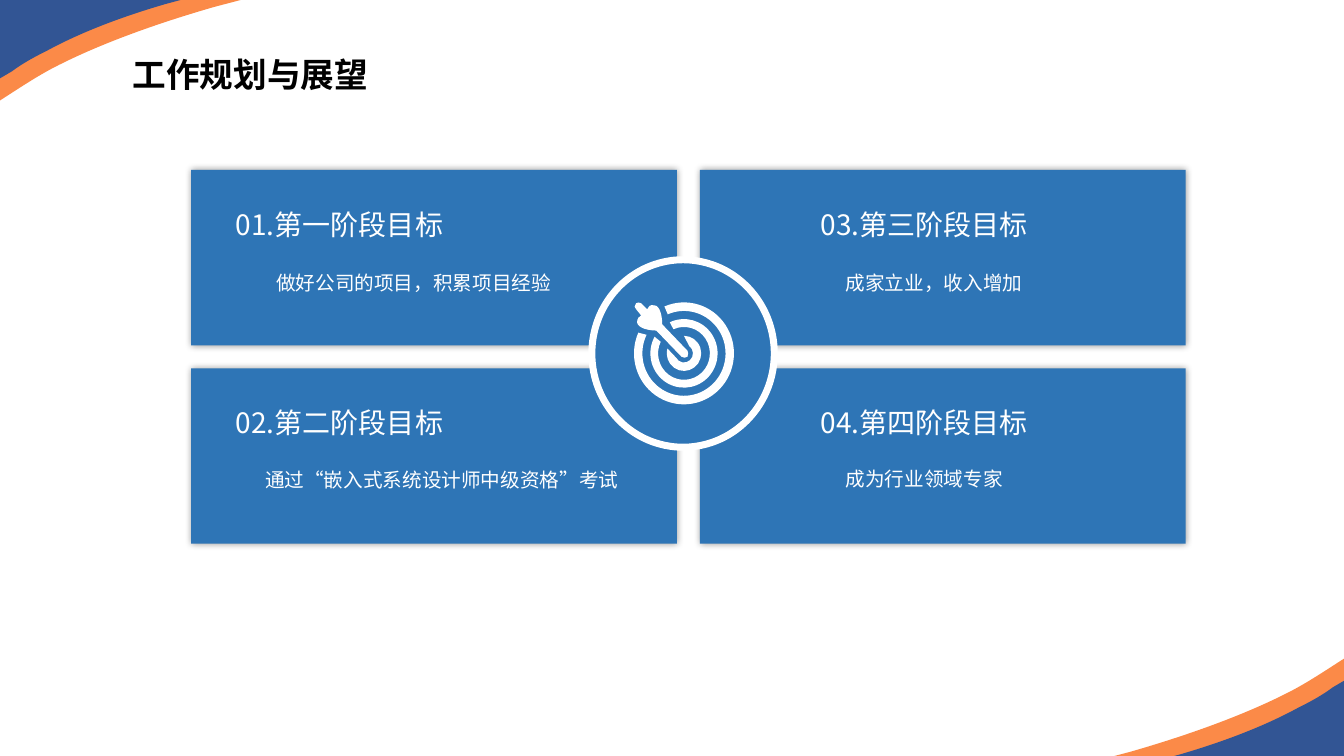
from math import cos, radians, sin, tan

from lxml.etree import SubElement
from pptx import Presentation
from pptx.dml.color import RGBColor
from pptx.enum.shapes import MSO_SHAPE
from pptx.enum.text import MSO_ANCHOR, PP_ALIGN
from pptx.oxml.ns import qn
from pptx.util import Pt

SLIDE_WIDTH, SLIDE_HEIGHT = 960, 540
FONT = "Noto Sans CJK SC"
BLUE, NAVY, ORANGE, WHITE, BLACK = "2E75B6", "325594", "FB8A48", "FFFFFF", "000000"

TITLE = "工作规划与展望"
GOALS = [
    ("01.第一阶段目标", "做好公司的项目，积累项目经验", 0, 0, (53.6, 63.7, 221)),
    ("02.第二阶段目标", "通过“嵌入式系统设计师中级资格”考试", 0, 1, (45.6, 62.3, 281)),
    ("03.第三阶段目标", "成家立业，收入增加", 1, 0, (97, 63.7, 190)),
    ("04.第四阶段目标", "成为行业领域专家", 1, 1, (97, 61.8, 161)),
]
CARD_LEFT, CARD_TOP, CARD_WIDTH, CARD_HEIGHT, CARD_GAP = 136.6, 121.4, 347, 125.3, 16.4
HEADING_INDENTS, HEADING_DROP = (24.8, 79), 23.2

HEADING_FORMAT = {"size": Pt(20), "name": FONT, "bold": False}
DETAIL_FORMAT = {"size": Pt(14), "name": FONT, "bold": False}
TITLE_FORMAT = {"size": Pt(24), "name": FONT, "bold": True}
FRAME_FORMAT = {"word_wrap": True, "vertical_anchor": MSO_ANCHOR.TOP}

SWOOSHES = [
    (ORANGE, [(172, 0), (153, 5), (113, 16.5, 72, 31, 39, 48),
              (26.5, 54.5, 14.5, 62.5, 0.5, 71.5), (0, 72), (0, 8.5), (16.5, 0)]),
    (NAVY, [(129, 0), (118, 3), (87, 12, 58, 23, 34, 36),
            (25, 40.5, 16.5, 45, 8.5, 51), (0, 56), (0, 0)]),
]
FAR_CORNER = (960.5, 542)

HUB_CENTRE, HUB_WIDTH, HUB_HEIGHT = (487.9, 252.5), 130.3, 133.9
TARGET_CENTRE, TARGET_STRETCH = (488.6, 252.4), 1.02
RINGS = [
    ((35.7, -113, 204), (29.7, -113, 206)),
    ((24, -115, 209), (18.5, -114, 206)),
    ((12.3, -90, 196), (6.4, -55, 152)),
]
DART = [
    (2.5, 2.4), (1.8, 3.1, 1.1, 3.1, 0.4, 3.1), (-0.4, 3.1, -1.1, 3.1, -1.8, 2.4),
    (-19.8, -16.3), (-24.8, -16.3, -32.8, -17.8, -33.5, -22.1),
    (-33.5, -25, -32, -26.4, -30.6, -27.1), (-34.2, -31.5),
    (-35.6, -32.2, -35.6, -34.3, -34.2, -35.8),
    (-33.5, -36.5, -31.3, -36.5, -30.6, -35.8), (-26.3, -31.5),
    (-25.6, -33.6, -24.1, -35, -21.2, -34.3),
    (-16.9, -34.3, -15.5, -25.7, -15.5, -20.7), (2.5, -1.9),
    (3.2, -1.2, 3.2, 0.9, 2.5, 2.4),
]


def colour(hex_code):
    return RGBColor.from_string(hex_code)


def apply(owner, formats):
    for attribute, setting in formats.items():
        setattr(owner, attribute, setting)


def paint(shape, fill):
    shape.shadow.inherit = False
    shape.fill.solid()
    shape.fill.fore_color.rgb = colour(fill)
    shape.line.fill.background()
    return shape


def write(holder, words, formats, ink, spacing=1.0):
    frame = holder.text_frame
    apply(frame, FRAME_FORMAT)
    paragraph = frame.paragraphs[0]
    apply(paragraph, {"alignment": PP_ALIGN.LEFT, "line_spacing": spacing})
    run = paragraph.add_run()
    run.text = words
    apply(run.font, formats)
    run.font.color.rgb = colour(ink)
    SubElement(run.font._element, qn("a:ea"), typeface=FONT)


def add_words(slide, box, *wording):
    write(slide.shapes.add_textbox(*map(Pt, box)), *wording)


def add_glow(card):
    effects = card._element.spPr.find(qn("a:effectLst"))
    glow = SubElement(effects, qn("a:outerShdw"), blurRad=str(Pt(5)), dist="0", dir="0",
                      algn="ctr", rotWithShape="0")
    shade = SubElement(glow, qn("a:srgbClr"), val=BLACK)
    SubElement(shade, qn("a:alpha"), val="40000")


def place(steps, origin, sign=1):
    return [tuple(origin[n % 2] + sign * number for n, number in enumerate(step))
            for step in steps]


def arc(radius, start, end, pieces=4):
    turn = radians(end - start) / pieces
    reach = 4 / 3 * tan(turn / 4)

    def point(angle, pull=0):
        return (radius * (cos(angle) - pull * sin(angle)),
                radius * (sin(angle) + pull * cos(angle)) * TARGET_STRETCH)

    angles = [radians(start) + turn * n for n in range(pieces + 1)]
    curves = [point(a, reach) + point(b, -reach) + point(b)
              for a, b in zip(angles, angles[1:])]
    return [point(angles[0])] + curves


def add_outline(slide, contours, fill):
    knots = [[(Pt(step[n]), Pt(step[n + 1])) for step in steps for n in range(0, len(step), 2)]
             for steps in contours]
    builder = slide.shapes.build_freeform(*knots[0][0], scale=1.0)
    for number, points in enumerate(knots):
        if number:
            builder.move_to(*points[0])
        builder.add_line_segments(points[1:], close=True)
    outline = paint(builder.convert_to_shape(), fill)
    segments = iter(list(outline._element.iter(qn("a:lnTo"))))
    for step in (step for steps in contours for step in steps[1:]):
        segment = next(segments)
        if len(step) == 6:
            segment.tag = qn("a:cubicBezTo")
            for follower in (next(segments), next(segments)):
                segment.append(follower[0])
                follower.getparent().remove(follower)


def add_swooshes(slide):
    for origin, sign in (((0, 0), 1), (FAR_CORNER, -1)):
        for fill, steps in SWOOSHES:
            add_outline(slide, [place(steps, origin, sign)], fill)


def add_goal(slide, heading, detail, column, row, detail_place):
    left = CARD_LEFT + column * (CARD_WIDTH + CARD_GAP)
    top = CARD_TOP + row * (CARD_HEIGHT + CARD_GAP)
    indent, drop, detail_width = detail_place
    card = slide.shapes.add_shape(MSO_SHAPE.RECTANGLE,
                                  *map(Pt, (left, top, CARD_WIDTH, CARD_HEIGHT)))
    add_glow(paint(card, BLUE))
    add_words(slide, (left + HEADING_INDENTS[column], top + HEADING_DROP, 173, 31.7),
              heading, HEADING_FORMAT, WHITE)
    add_words(slide, (left + indent, top + drop, detail_width, 27.4),
              detail, DETAIL_FORMAT, WHITE, 1.3)


def add_target(slide):
    left, top = HUB_CENTRE[0] - HUB_WIDTH / 2, HUB_CENTRE[1] - HUB_HEIGHT / 2
    hub = paint(slide.shapes.add_shape(MSO_SHAPE.OVAL,
                                       *map(Pt, (left, top, HUB_WIDTH, HUB_HEIGHT))), BLUE)
    hub.line.color.rgb = colour(WHITE)
    hub.line.width = Pt(5)
    rings = [arc(*outer) + arc(inner, end, start)
             for outer, (inner, start, end) in RINGS]
    add_outline(slide, [place(steps, TARGET_CENTRE) for steps in rings + [DART]], WHITE)


def main():
    deck = Presentation()
    apply(deck, {"slide_width": Pt(SLIDE_WIDTH), "slide_height": Pt(SLIDE_HEIGHT)})
    slide = deck.slides.add_slide(deck.slide_layouts[5])
    title = slide.shapes.title
    apply(title, {"left": Pt(87.6), "top": Pt(34.8), "width": Pt(320), "height": Pt(36)})
    write(title, TITLE, TITLE_FORMAT, BLACK)
    add_swooshes(slide)
    for goal in GOALS:
        add_goal(slide, *goal)
    add_target(slide)
    deck.save("out.pptx")


if __name__ == "__main__":
    main()
